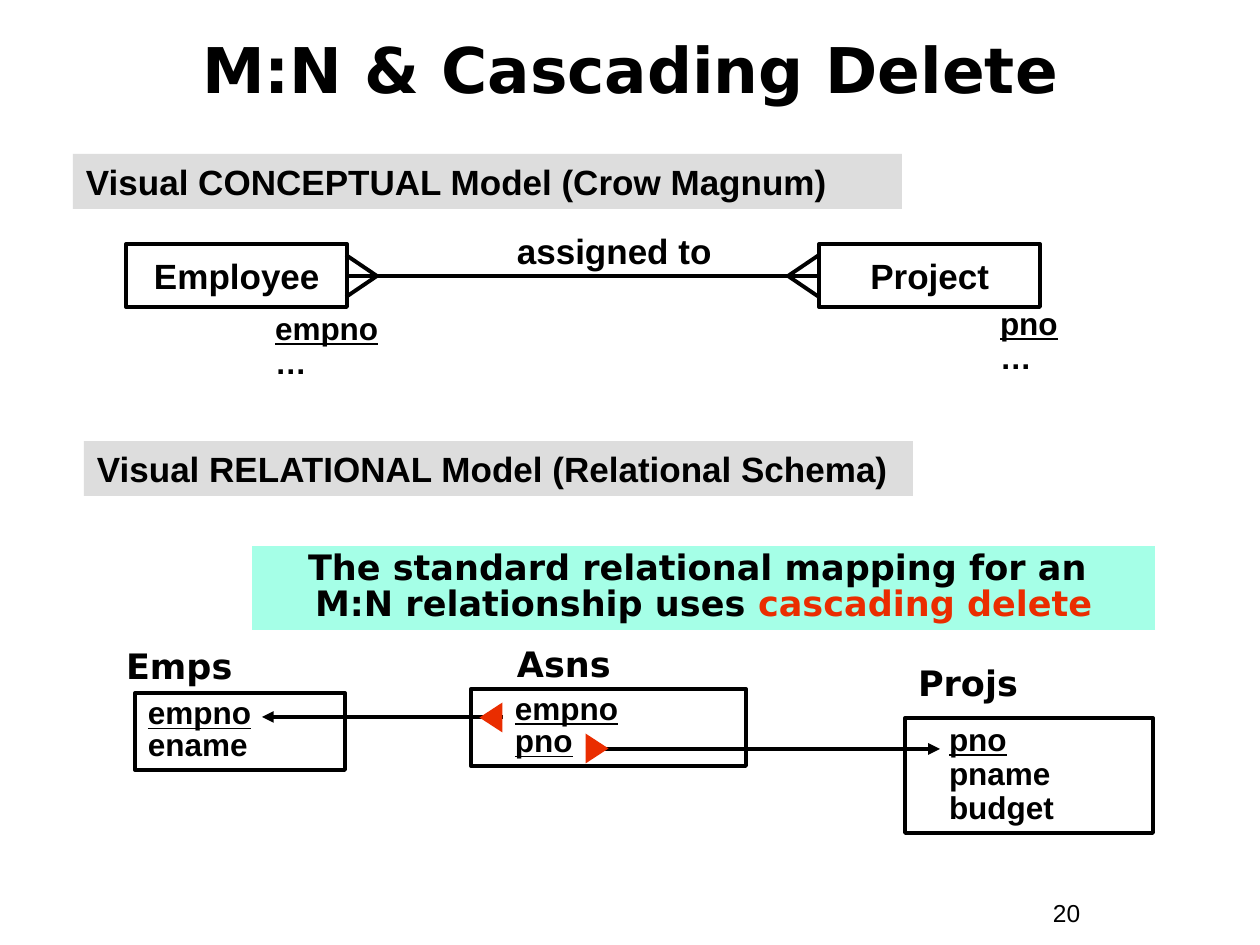
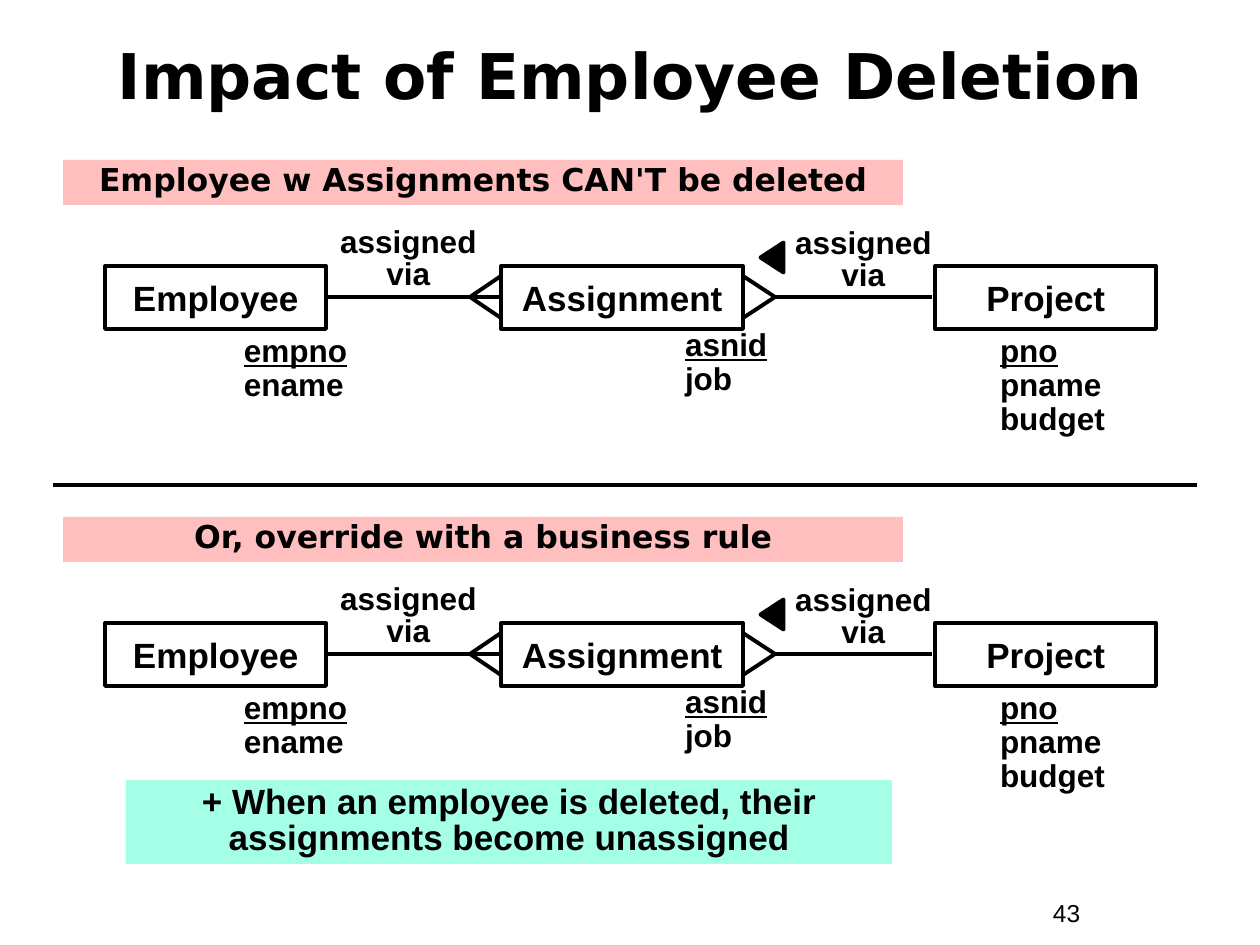
"""Build two slides on M:N relationships and the impact of deletion."""
from lxml.etree import SubElement
from pptx import Presentation
from pptx.dml.color import RGBColor
from pptx.enum.shapes import MSO_CONNECTOR, MSO_SHAPE
from pptx.enum.text import MSO_ANCHOR, PP_ALIGN
from pptx.oxml.ns import qn
from pptx.util import Pt

STRAIGHT = MSO_CONNECTOR.STRAIGHT
RECTANGLE, TRIANGLE = MSO_SHAPE.RECTANGLE, MSO_SHAPE.ISOSCELES_TRIANGLE
LEFT, CENTER = PP_ALIGN.LEFT, PP_ALIGN.CENTER
TOP, MIDDLE = MSO_ANCHOR.TOP, MSO_ANCHOR.MIDDLE

BLACK = RGBColor(0, 0, 0)
RED = RGBColor(0xEA, 0x2D, 0x00)
GRAY = RGBColor(0xDD, 0xDD, 0xDD)
MINT = RGBColor(0xA5, 0xFF, 0xE7)
PINK = RGBColor(0xFF, 0xBF, 0xBF)

PX = 914400 / 126
LINE_WIDTH = Pt(2.25)
FOOT_SPREAD = 21
INSET, FIELD_INDENT = 13, 44
SANS, DISPLAY = "Arial", "DejaVu Sans"

BASE = {"name": SANS, "size": 20, "bold": True, "align": LEFT, "anchor": TOP,
        "spacing": 1.0, "wrap": True, "inset": INSET}
TITLE = BASE | {"name": DISPLAY, "size": 36, "align": CENTER, "anchor": MIDDLE}
NUMBER = BASE | {"size": 14, "bold": False}
ENTITY = BASE | {"align": CENTER, "anchor": MIDDLE, "wrap": False}
RELATION = BASE | {"align": CENTER}
RELATION_SMALL = RELATION | {"size": 18, "spacing": 0.85}
FIELDS = BASE | {"size": 18, "spacing": 0.9}
TIGHT_FIELDS = FIELDS | {"spacing": 0.85}
TABLE_NAME = BASE | {"name": DISPLAY}
NOTE = RELATION | {"spacing": 0.85}
DISPLAY_NOTE = NOTE | {"name": DISPLAY}
HEADING = DISPLAY_NOTE | {"size": 18}

CONCEPTUAL_ENTITIES = [("Employee", (126, 244, 221, 63)), ("Project", (819, 244, 221, 63))]
CONCEPTUAL_FIELDS = [(["empno", "…"], (262, 307, 147, 81)), (["pno", "…"], (987, 302, 147, 81))]
MODEL_HEADINGS = [
    ("Visual CONCEPTUAL Model (Crow Magnum)", (73, 154, 829, 55)),
    ("Visual RELATIONAL Model (Relational Schema)", (84, 441, 829, 55)),
]
MAPPING_NOTE = [
    ["The standard relational mapping for an "],
    ["M:N relationship uses ", ("cascading delete", {"color": RED})],
]
TABLES = [
    ("Emps", (113, 638, 271, 55), ["empno", "ename"], 1, (135, 693, 210, 77), TIGHT_FIELDS),
    ("Asns", (504, 636, 147, 55), ["empno", "pno"], 2, (471, 689, 275, 77),
     TIGHT_FIELDS | {"inset": FIELD_INDENT}),
    ("Projs", (905, 655, 271, 55), ["pno", "pname", "budget"], 1, (905, 718, 248, 115),
     FIELDS | {"inset": FIELD_INDENT}),
]
REFERENCES = [((503, 717), (262, 717)), ((586, 749), (940, 749))]
CASCADE_MARKS = [((476, 706), 270), ((582, 737), 90)]

DELETION_ENTITIES = [
    ("Employee", (105, 266, 221, 63), ["empno", "ename"], (231, 329, 189, 81)),
    ("Assignment", (501, 266, 242, 63), ["asnid", "job"], (672, 323, 221, 81)),
    ("Project", (935, 266, 221, 63), ["pno", "pname", "budget"], (987, 329, 210, 115)),
]
ASSIGNED_VIA = [(324, 222, 168, 77), (779, 223, 168, 77)]
DELETION_RULES = ["Employee w Assignments CAN'T be deleted", "Or, override with a business rule"]
RULE_STEP = 357


def emu(*lengths):
    return [round(length * PX) for length in lengths]


def shifted(box, down):
    left, top, width, height = box
    return left, top + down, width, height


def paint(shape, fill, outline):
    shape.shadow.inherit = False
    if fill is None:
        shape.fill.background()
    else:
        shape.fill.solid()
        shape.fill.fore_color.rgb = fill
    if outline is None:
        shape.line.fill.background()
    else:
        shape.line.color.rgb = outline
        shape.line.width = LINE_WIDTH


def add_run(paragraph, text, style, color=BLACK, underline=False):
    run = paragraph.add_run()
    run.text = text
    values = {"name": style["name"], "size": Pt(style["size"]),
              "bold": style["bold"], "underline": underline}
    for attribute, value in values.items():
        setattr(run.font, attribute, value)
    run.font.color.rgb = color


def add_text(slide, lines, box, style, fill=None, outline=None):
    if fill is None and outline is None:
        shape = slide.shapes.add_textbox(*emu(*box))
    else:
        shape = slide.shapes.add_shape(RECTANGLE, *emu(*box))
        paint(shape, fill, outline)
    frame = shape.text_frame
    frame_values = {"word_wrap": style["wrap"], "vertical_anchor": style["anchor"],
                    "margin_left": emu(style["inset"])[0]}
    for attribute, value in frame_values.items():
        setattr(frame, attribute, value)
    for index, line in enumerate(lines):
        paragraph = frame.add_paragraph() if index else frame.paragraphs[0]
        paragraph.alignment = style["align"]
        paragraph.line_spacing = style["spacing"]
        for part in line:
            text, changes = (part, {}) if isinstance(part, str) else part
            add_run(paragraph, text, style, **changes)


def add_fields(slide, fields, box, style=FIELDS, keys=1, outline=None):
    lines = [[(field, {"underline": index < keys})] for index, field in enumerate(fields)]
    add_text(slide, lines, box, style, outline=outline)


def add_line(slide, start, end, arrow=False):
    connector = slide.shapes.add_connector(STRAIGHT, *emu(*start, *end))
    connector.line.color.rgb = BLACK
    connector.line.width = LINE_WIDTH
    properties = connector._element.spPr
    if arrow:
        SubElement(properties.find(qn("a:ln")), qn("a:tailEnd"), type="triangle")
    SubElement(properties, qn("a:effectLst"))


def add_crow_foot(slide, tip, edge, middle):
    for spread in (-FOOT_SPREAD, FOOT_SPREAD):
        add_line(slide, (tip, middle), (edge, middle + spread))


def add_triangle(slide, corner, rotation, fill, outline=None):
    shape = slide.shapes.add_shape(TRIANGLE, *emu(*corner, 30, 23))
    shape.rotation = rotation
    paint(shape, fill, outline)


def add_slide(presentation, title, title_top, number):
    slide = presentation.slides.add_slide(presentation.slide_layouts[6])
    add_text(slide, [[number]], (1040, 892, 116, 43), NUMBER)
    add_text(slide, [[title]], (42, title_top, 1176, 116), TITLE)
    return slide


def build_cascading_delete(presentation):
    slide = add_slide(presentation, "M:N & Cascading Delete", 10, "20")
    for heading, box in MODEL_HEADINGS:
        add_text(slide, [[heading]], box, BASE, GRAY)
    for name, box in CONCEPTUAL_ENTITIES:
        add_text(slide, [[name]], box, ENTITY, outline=BLACK)
    for fields, box in CONCEPTUAL_FIELDS:
        add_fields(slide, fields, box)
    add_line(slide, (349, 276), (817, 276))
    add_crow_foot(slide, 377, 346, 276)
    add_crow_foot(slide, 788, 819, 276)
    add_text(slide, [["assigned to"]], (483, 223, 262, 55), RELATION)

    add_text(slide, MAPPING_NOTE, (252, 546, 903, 84), DISPLAY_NOTE, MINT)
    for name, name_box, fields, keys, box, style in TABLES:
        add_text(slide, [[name]], name_box, TABLE_NAME)
        add_fields(slide, fields, box, style, keys, BLACK)
    for start, end in REFERENCES:
        add_line(slide, start, end, arrow=True)
    for corner, rotation in CASCADE_MARKS:
        add_triangle(slide, corner, rotation, RED)


def add_deletion_rule(slide, rule, down):
    add_text(slide, [[rule]], shifted((63, 160, 840, 45), down), HEADING, PINK)
    for name, box, fields, fields_box in DELETION_ENTITIES:
        add_text(slide, [[name]], shifted(box, down), ENTITY, outline=BLACK)
        add_fields(slide, fields, shifted(fields_box, down))
    for box in ASSIGNED_VIA:
        add_text(slide, [["assigned via"]], shifted(box, down), RELATION_SMALL)
    middle = 297 + down
    add_line(slide, (328, middle), (500, middle))
    add_line(slide, (932, middle), (775, middle))
    add_crow_foot(slide, 470, 501, middle)
    add_crow_foot(slide, 775, 743, middle)
    add_triangle(slide, (757, 246 + down), 270, BLACK, BLACK)


def build_employee_deletion(presentation):
    slide = add_slide(presentation, "Impact of Employee Deletion", 16, "43")
    for index, rule in enumerate(DELETION_RULES):
        add_deletion_rule(slide, rule, index * RULE_STEP)
    add_line(slide, (53, 485), (1197, 485))
    add_text(slide, [["+ When an employee is deleted, their assignments become unassigned"]],
             (126, 780, 766, 84), NOTE, MINT)


def main():
    presentation = Presentation()
    presentation.slide_width, presentation.slide_height = emu(1260, 945)
    build_cascading_delete(presentation)
    build_employee_deletion(presentation)
    presentation.save("out.pptx")


if __name__ == "__main__":
    main()
